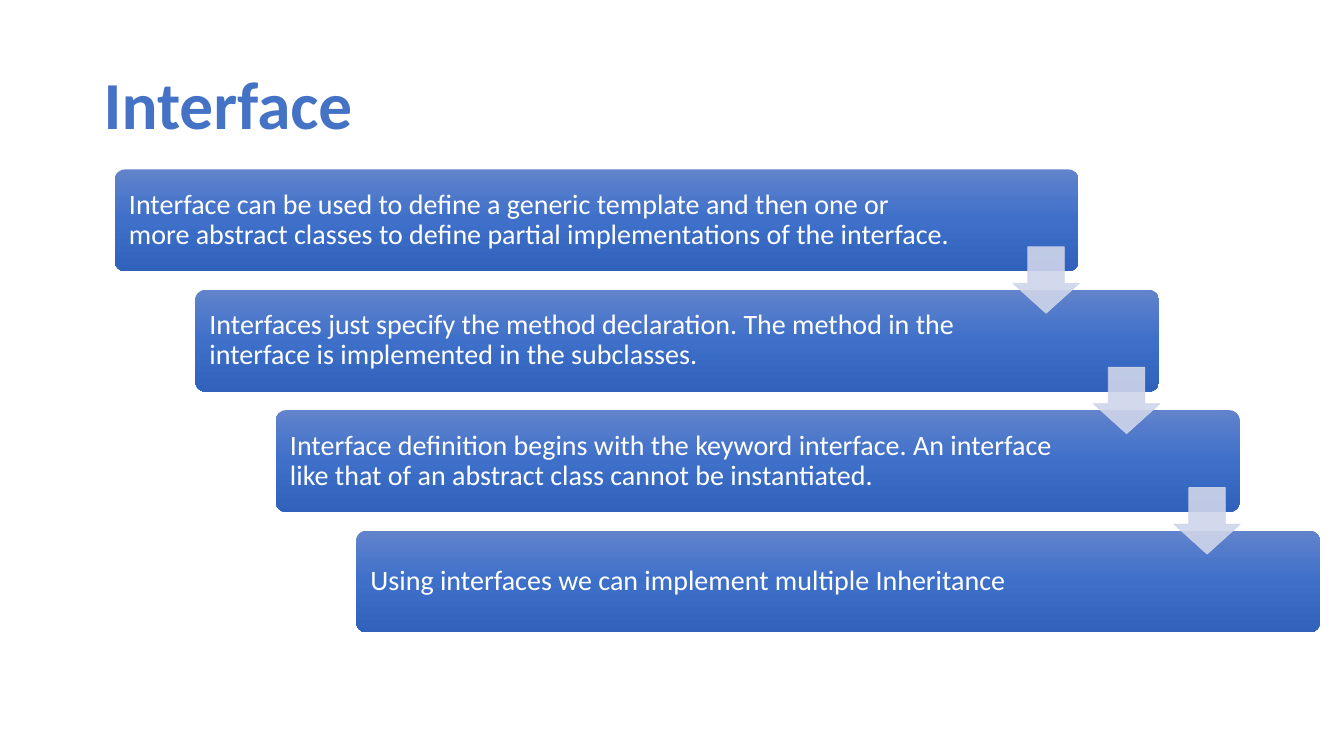
from copy import deepcopy

from lxml import etree
from pptx import Presentation
from pptx.dml.color import RGBColor
from pptx.enum import shapes, text
from pptx.oxml import ns
from pptx.util import Pt

TITLE = "Interface"
STEPS = [
    ("Interface can be used to define a generic template and then one or more "
     "abstract classes to define partial implementations of the interface.", 88),
    ("Interfaces just specify the method declaration. The method in the "
     "interface is implemented in the subclasses.", 113),
    ("Interface definition begins with the keyword interface. An interface "
     "like that of an abstract class cannot be instantiated.", 113),
    ("Using interfaces we can implement multiple Inheritance", 113),
]

FONT = "Calibri"
BLUE = RGBColor(0x44, 0x72, 0xC4)
WHITE = RGBColor(0xFF, 0xFF, 0xFF)
ARROW = RGBColor(0xCF, 0xD5, 0xEA)
GRADIENT = [
    (0, RGBColor(0x61, 0x83, 0xCB)),
    (0.5, RGBColor(0x3E, 0x70, 0xCA)),
    (1, RGBColor(0x30, 0x62, 0xBB)),
]

LEFT, TOP = 82, 121
WIDTH, HEIGHT = 688.4, 72.7
SHIFT_X, SHIFT_Y = 57.5, 86
ARROW_X, ARROW_Y, ARROW_SIZE = 641.5, 55.3, 47.5


def write(box, words, size, color, bold=False):
    frame = box.text_frame
    frame.word_wrap = True
    frame.vertical_anchor = text.MSO_ANCHOR.MIDDLE
    frame.text = words
    para = frame.paragraphs[0]
    para.alignment = text.PP_ALIGN.LEFT
    font = para.runs[0].font
    font.name, font.size, font.bold = FONT, Pt(size), bold
    font.color.rgb = color
    return para


def add_shape(kind, left, top, width, height):
    shape = page.shapes.add_shape(kind, Pt(left), Pt(top), Pt(width), Pt(height))
    shape.shadow.inherit = False
    return shape


def add_step(words, right_inset, left, top):
    box = add_shape(shapes.MSO_SHAPE.ROUNDED_RECTANGLE, left, top, WIDTH, HEIGHT)
    box.adjustments[0] = 0.1
    box.line.fill.background()
    box.fill.gradient()
    box.fill.gradient_angle = 270
    stop_list = box._element.spPr.find(".//" + ns.qn("a:gsLst"))
    stop_list.insert(1, deepcopy(stop_list[0]))
    for stop, (position, color) in zip(box.fill.gradient_stops, GRADIENT):
        stop.position = position
        stop.color.rgb = color
    frame = box.text_frame
    frame.margin_left, frame.margin_right = Pt(8), Pt(right_inset)
    frame.margin_top = frame.margin_bottom = Pt(6)
    write(box, words, 20, WHITE).line_spacing = 0.9


def add_arrow(left, top):
    arrow = add_shape(shapes.MSO_SHAPE.DOWN_ARROW, left, top, ARROW_SIZE, ARROW_SIZE)
    arrow.adjustments[0] = 0.55
    arrow.adjustments[1] = 0.45
    arrow.fill.solid()
    arrow.fill.fore_color.rgb = ARROW
    arrow.line.color.rgb = ARROW
    arrow.line.width = Pt(0.5)
    for color in arrow._element.spPr.iter(ns.qn("a:srgbClr")):
        etree.SubElement(color, ns.qn("a:alpha")).set("val", "90000")


deck = Presentation()
deck.slide_width, deck.slide_height = Pt(960), Pt(540)
page = deck.slides.add_slide(deck.slide_layouts[6])

title = page.shapes.add_textbox(Pt(67), Pt(40), Pt(470), Pt(66))
write(title, TITLE, 48, BLUE, bold=True)

places = [(LEFT + i * SHIFT_X, TOP + i * SHIFT_Y) for i in range(len(STEPS))]
for (words, right_inset), (left, top) in zip(STEPS, places):
    add_step(words, right_inset, left, top)
for left, top in places[:-1]:
    add_arrow(left + ARROW_X, top + ARROW_Y)

deck.save("out.pptx")
